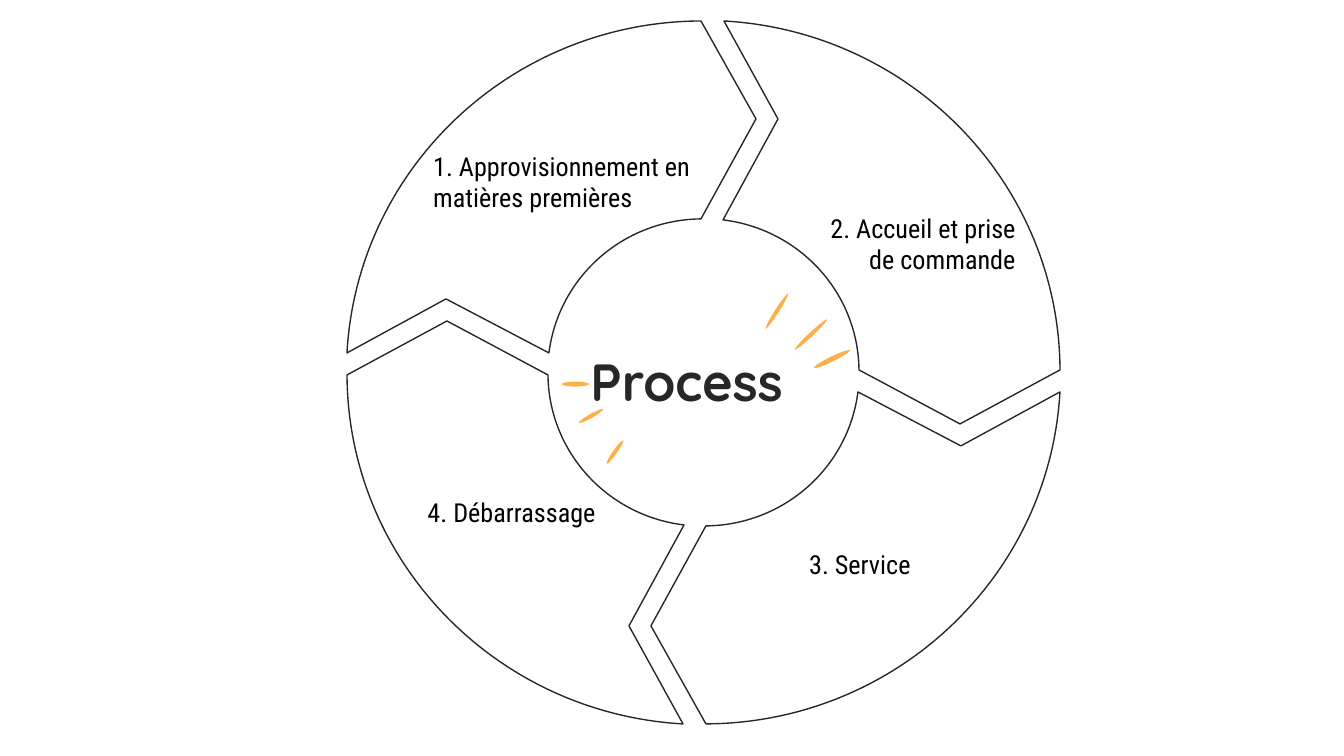
from dataclasses import dataclass
from math import atan2, cos, hypot, pi, radians, sin, tan

from pptx import Presentation
from pptx.dml.color import RGBColor
from pptx.enum.text import MSO_ANCHOR, MSO_AUTO_SIZE, PP_ALIGN
from pptx.oxml.ns import qn
from pptx.util import Emu, Inches, Pt

PX = 914400 / 134.4  # EMU per px


@dataclass(frozen=True)
class Theme:
    ink: str = "272727"
    text: str = "000000"
    accent: str = "FFAF4A"
    title_font: str = "Quicksand"
    body_font: str = "Roboto Condensed"
    title_size: int = 28
    body_size: int = 14
    outline: float = 0.75


THEME = Theme()

# Ring geometry in px; the sums add opposite edges around the centre
RING_SUM = (1407, 745)
OUTER, INNER = (357, 352), (156, 154)


def emu(px):
    return Emu(round(px * PX))


def color(value):
    return RGBColor.from_string(value)


def write(shape, text, *, size=THEME.body_size, font=THEME.body_font,
          ink=THEME.text, bold=False, align=PP_ALIGN.LEFT):
    frame = shape.text_frame
    frame.word_wrap = True
    frame.auto_size = MSO_AUTO_SIZE.NONE
    frame.vertical_anchor = MSO_ANCHOR.TOP
    frame.margin_left = frame.margin_right = Inches(0.1)
    frame.margin_top = frame.margin_bottom = Inches(0.1)
    paragraph = frame.paragraphs[0]
    paragraph.alignment = align
    run = paragraph.add_run()
    run.text = text
    run.font.size, run.font.name, run.font.bold = Pt(size), font, bold
    run.font.color.rgb = color(ink)


def add_title(slide, text, box):
    title = slide.shapes.title
    title.left, title.top, title.width, title.height = map(emu, box)
    write(title, text, size=THEME.title_size, font=THEME.title_font,
          ink=THEME.ink, bold=True)


def add_label(slide, text, box, align):
    write(slide.shapes.add_textbox(*map(emu, box)), text, align=align)


def bend(shape, steps):
    """Join the line segments of each three-point step into one Bézier curve."""
    segments = iter(list(shape.element.iter(qn("a:lnTo"))))
    for step in steps:
        lines = [next(segments) for _ in step]
        if len(lines) == 3:
            curve = lines[0].makeelement(qn("a:cubicBezTo"))
            lines[0].addprevious(curve)
            for line in lines:
                curve.append(line[0])
                line.getparent().remove(line)


def add_outline(shapes, contours, *, fill=None, line=None):
    """Each contour is a list of steps: [point] for a line, three for a curve."""
    builder = None
    for (start,), *steps in contours:
        origin = (emu(start[0]), emu(start[1]))
        if builder is None:
            builder = shapes.build_freeform(*origin, scale=1.0)
        else:
            builder.move_to(*origin)
        builder.add_line_segments(
            [(emu(x), emu(y)) for step in steps for x, y in step], close=True)
    shape = builder.convert_to_shape()
    bend(shape, [step for contour in contours for step in contour[1:]])
    shape.shadow.inherit = False
    if fill:
        shape.fill.solid()
        shape.fill.fore_color.rgb = color(fill)
    else:
        shape.fill.background()
    if line:
        shape.line.color.rgb = color(line)
        shape.line.width = Pt(THEME.outline)
    else:
        shape.line.fill.background()
    return shape


def arc(start, end, radii):
    """Start step and curve step on a ring ellipse, the short way round."""
    cx, cy = (total / 2 for total in RING_SUM)
    rx, ry = radii
    first, last = (atan2((y - cy) / ry, (x - cx) / rx) for x, y in (start, end))
    sweep = (last - first + pi) % (2 * pi) - pi
    pull = 4 / 3 * tan(sweep / 4)

    def handle(angle, amount):
        return (cx + rx * (cos(angle) - amount * sin(angle)),
                cy + ry * (sin(angle) + amount * cos(angle)))

    return [[start], [handle(first, pull), handle(first + sweep, -pull), end]]


def opposite(steps):
    return [[(RING_SUM[0] - x, RING_SUM[1] - y) for x, y in step]
            for step in steps]


def add_ring(slide):
    # Each step: inner arc, arrow tip, outer arc, arrow notch
    supply = (arc((549, 353), (701, 219), INNER) + [[(756, 119)]]
              + arc((701, 21), (347, 353), OUTER) + [[(446, 299)]])
    welcome = (arc((723, 220), (859, 370), INNER) + [[(960, 424)]]
               + arc((1060, 370), (724, 21), OUTER) + [[(778, 119)]])
    ring = slide.shapes.add_group_shape()
    for step in (welcome, supply, opposite(supply), opposite(welcome)):
        add_outline(ring.shapes, [step], line=THEME.ink)


def spark(start, end, width):
    """A thin stroke of two curves that tapers towards both ends."""
    (x1, y1), (x2, y2) = start, end
    dx, dy = x2 - x1, y2 - y1
    bulge = width * 2 / 3 / hypot(dx, dy)

    def handle(t, sign):
        return (x1 + dx * t - sign * dy * bulge, y1 + dy * t + sign * dx * bulge)

    return [[start], [handle(0.1, 1), handle(0.9, 1), end],
            [handle(0.9, -1), handle(0.1, -1), start]]


def add_sparks(slide, strokes, pivot, rotation):
    """Strokes are given as seen, so turn them back before rotating the shape."""
    px, py = pivot
    c, s = cos(radians(rotation)), sin(radians(rotation))

    def turn_back(x, y):
        return (px + (x - px) * c + (y - py) * s,
                py - (x - px) * s + (y - py) * c)

    contours = [[[turn_back(*point) for point in step]
                 for step in spark(*stroke)] for stroke in strokes]
    add_outline(slide.shapes, contours, fill=THEME.accent).rotation = rotation


def main():
    deck = Presentation()
    deck.slide_width, deck.slide_height = emu(1344), emu(756)
    slide = deck.slides.add_slide(deck.slide_layouts[5])

    # Centre title and process ring
    add_title(slide, "Process", (577, 336, 305, 85))
    add_ring(slide)

    # Step labels
    add_label(slide, "1. Approvisionnement en matières premières",
              (420, 137, 305, 74), PP_ALIGN.LEFT)
    for text, left, top in (("3. Service", 693, 535),
                            ("2. Accueil et prise de commande", 798, 199),
                            ("4. Débarrassage", 378, 483)):
        add_label(slide, text, (left, top, 231, 94), PP_ALIGN.RIGHT)

    # Sparks on both sides of the title
    add_sparks(slide, [((765, 329), (788, 293), 4),
                       ((813, 368), (850, 350), 5),
                       ((794, 350), (827, 319), 4)], (805, 335), 319.2)
    add_sparks(slide, [((603, 462), (620, 438), 4),
                       ((558, 382), (586, 382), 5),
                       ((575, 421), (600, 407), 4)], (593, 417), 153.8)

    deck.save("out.pptx")


if __name__ == "__main__":
    main()
